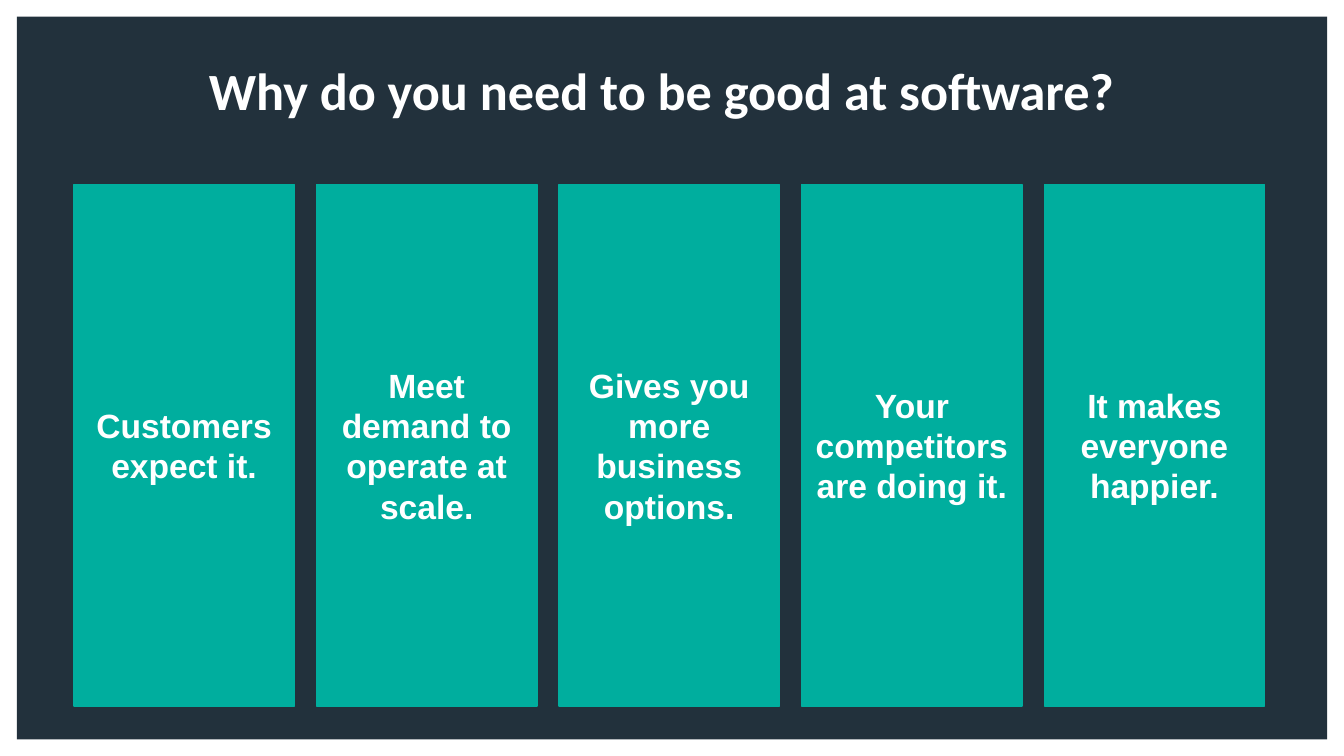
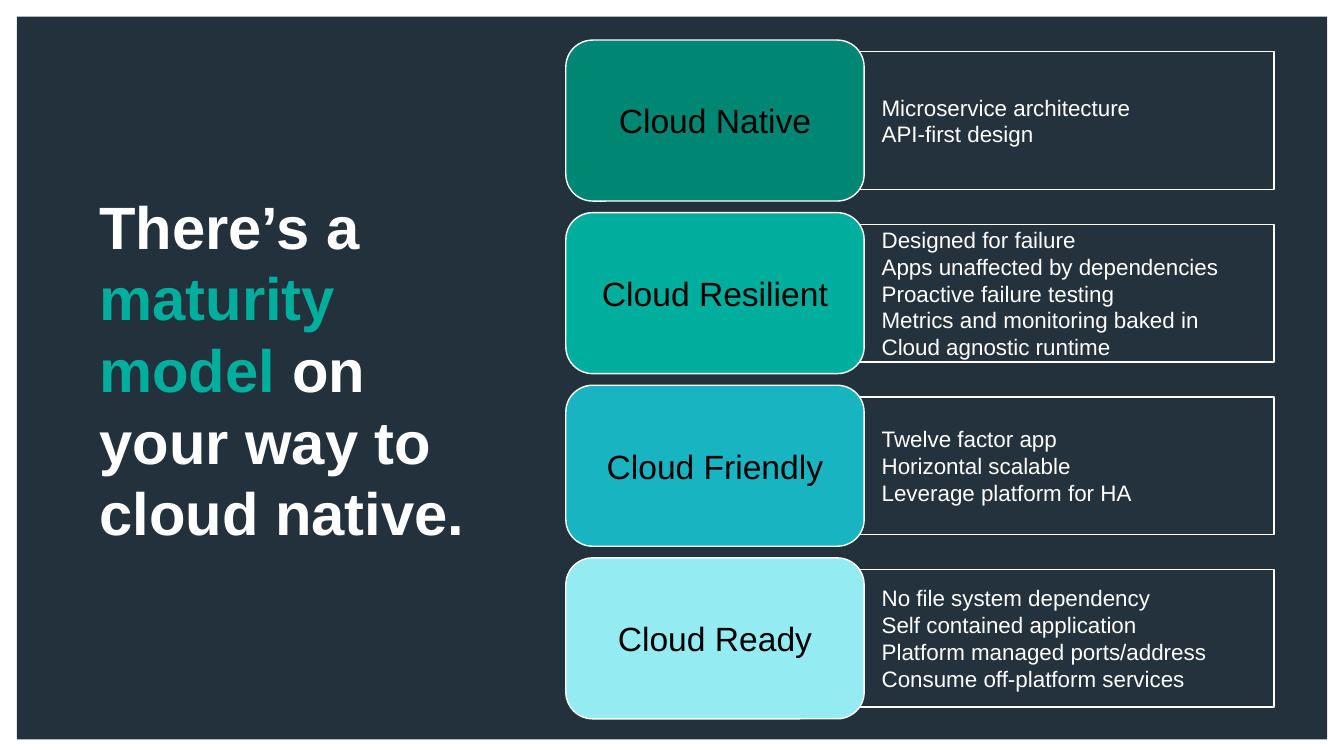
from lxml.etree import SubElement as Sub
from pptx import Presentation as Deck
from pptx.dml.color import RGBColor as Rgb
from pptx.enum.shapes import MSO_SHAPE as Kind
from pptx.enum.text import MSO_ANCHOR as Anchor, PP_ALIGN as Align
from pptx.oxml.ns import qn
from pptx.util import Inches, Pt

WIDE, HIGH = Inches(10), Inches(5.625)
NAVY, PANEL, TEAL = "22313C", "23323D", "00AE9E"
WHITE, BLACK = "FFFFFF", "000000"

TITLE = dict(name="Calibri", size=Pt(28), bold=True, color=WHITE)
LARGE = dict(name="Arial", size=Pt(32), bold=True, color=WHITE)
CARD = dict(name="Arial", size=Pt(18), bold=True, color=WHITE)
LABEL = dict(name="Arial", size=Pt(18), color=BLACK)
POINT = dict(name="Arial", size=Pt(12), color=WHITE)

REASONS = [
    "Customers expect it.",
    "Meet demand to operate at scale.",
    "Gives you more business options.",
    "Your competitors are doing it.",
    "It makes everyone happier.",
]
LEVELS = [
    ("Cloud Native", "008774",
     ["Microservice architecture", "API-first design"]),
    ("Cloud Resilient", TEAL,
     ["Designed for failure", "Apps unaffected by dependencies",
      "Proactive failure testing", "Metrics and monitoring baked in",
      "Cloud agnostic runtime"]),
    ("Cloud Friendly", "19B4C1",
     ["Twelve factor app", "Horizontal scalable",
      "Leverage platform for HA"]),
    ("Cloud Ready", "95EBF2",
     ["No file system dependency", "Self contained application",
      "Platform managed ports/address", "Consume off-platform services"]),
]


def paint(tone):
    return Rgb.from_string(tone)


def place(x, y, wide, high):
    """Turn percentages of the slide's size into lengths."""
    return [round(share * side / 100) for share, side in
            zip((x, y, wide, high), (WIDE, HIGH, WIDE, HIGH))]


def style(run, form):
    for key, value in form.items():
        if key == "color":
            run.font.color.rgb = paint(value)
        else:
            setattr(run.font, key, value)


def dot(para, tone):
    """Give a paragraph a hanging round bullet."""
    props = para._p.get_or_add_pPr()
    for key, inch in (("marL", 0.31), ("indent", -0.31)):
        props.set(key, str(Inches(inch)))
    Sub(Sub(props, qn("a:buClr")), qn("a:srgbClr"), val=tone)
    Sub(props, qn("a:buChar"), char="•")


def write(shape, paras, form, align=Align.CENTER, anchor=Anchor.MIDDLE,
          dots=False):
    """Fill a shape with paragraphs, each a list of (text, colour) runs."""
    frame = shape.text_frame
    sides = dict.fromkeys(("margin_left", "margin_right"), Inches(0.05))
    ends = dict.fromkeys(("margin_top", "margin_bottom"), Inches(0.02))
    setup = dict(word_wrap=True, vertical_anchor=anchor, **sides, **ends)
    for key, value in setup.items():
        setattr(frame, key, value)
    for num, parts in enumerate(paras):
        para = frame.add_paragraph() if num else frame.paragraphs[0]
        para.alignment = align
        if dots:
            dot(para, form["color"])
        for text, tone in parts:
            run = para.add_run()
            run.text = text
            style(run, form | {"color": tone})


def lines(form, *texts):
    """Make one single-run paragraph of each text."""
    return [[(text, form["color"])] for text in texts]


def box(slide, area, fill, edge=None, kind=Kind.RECTANGLE):
    shape = slide.shapes.add_shape(kind, *place(*area))
    shape.shadow.inherit = False
    shape.fill.solid()
    shape.fill.fore_color.rgb = paint(fill)
    if edge:
        shape.line.color.rgb = paint(edge)
        shape.line.width = Pt(0.75)
    else:
        shape.line.fill.background()
    return shape


def label(slide, area):
    return slide.shapes.add_textbox(*place(*area))


def start(deck):
    """Add a blank slide with the shared dark band."""
    slide = deck.slides.add_slide(deck.slide_layouts[6])
    box(slide, (1.25, 2.2, 97.5, 95.6), NAVY)
    return slide


def card(slide, col, text):
    shape = box(slide, (5.5 + 18.05 * col, 24.4, 16.4, 69), TEAL, TEAL)
    write(shape, lines(CARD, text), CARD)


def level(slide, row, name, tone, points):
    top = 5.3 + 22.83 * row
    panel = box(slide, (62, top + 1.55, 32.8, 18.2), PANEL, WHITE)
    write(panel, lines(POINT, *points), POINT, Align.LEFT, dots=True)
    badge = box(slide, (42.1, top, 22.2, 21.3), tone, WHITE,
                Kind.ROUNDED_RECTANGLE)
    write(badge, lines(LABEL, name), LABEL)


def reasons(deck):
    slide = start(deck)
    title = label(slide, (5.5, 6.8, 87.4, 10.1))
    write(title, lines(TITLE, "Why do you need to be good at software?"),
          TITLE)
    for col, text in enumerate(REASONS):
        card(slide, col, text)


def levels(deck):
    slide = start(deck)
    head = label(slide, (6.9, 24.4, 30.3, 48.7))
    parts = [("There’s a ", WHITE), ("maturity model ", TEAL),
             ("on your way to cloud native.", WHITE)]
    write(head, [parts], LARGE, Align.LEFT)
    for row, item in enumerate(LEVELS):
        level(slide, row, *item)


def main():
    deck = Deck()
    deck.slide_width, deck.slide_height = WIDE, HIGH
    reasons(deck)
    levels(deck)
    deck.save("out.pptx")


if __name__ == "__main__":
    main()
